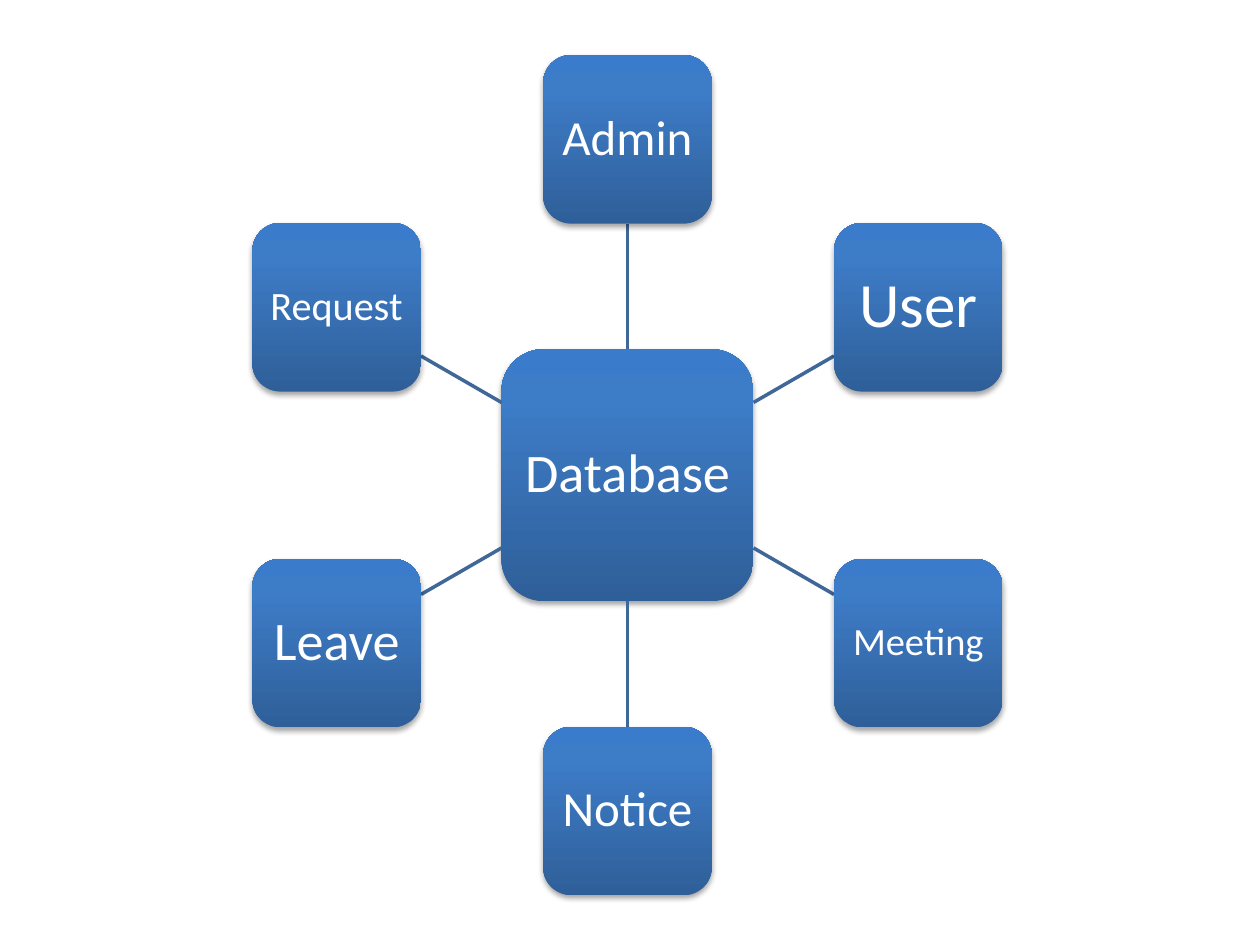
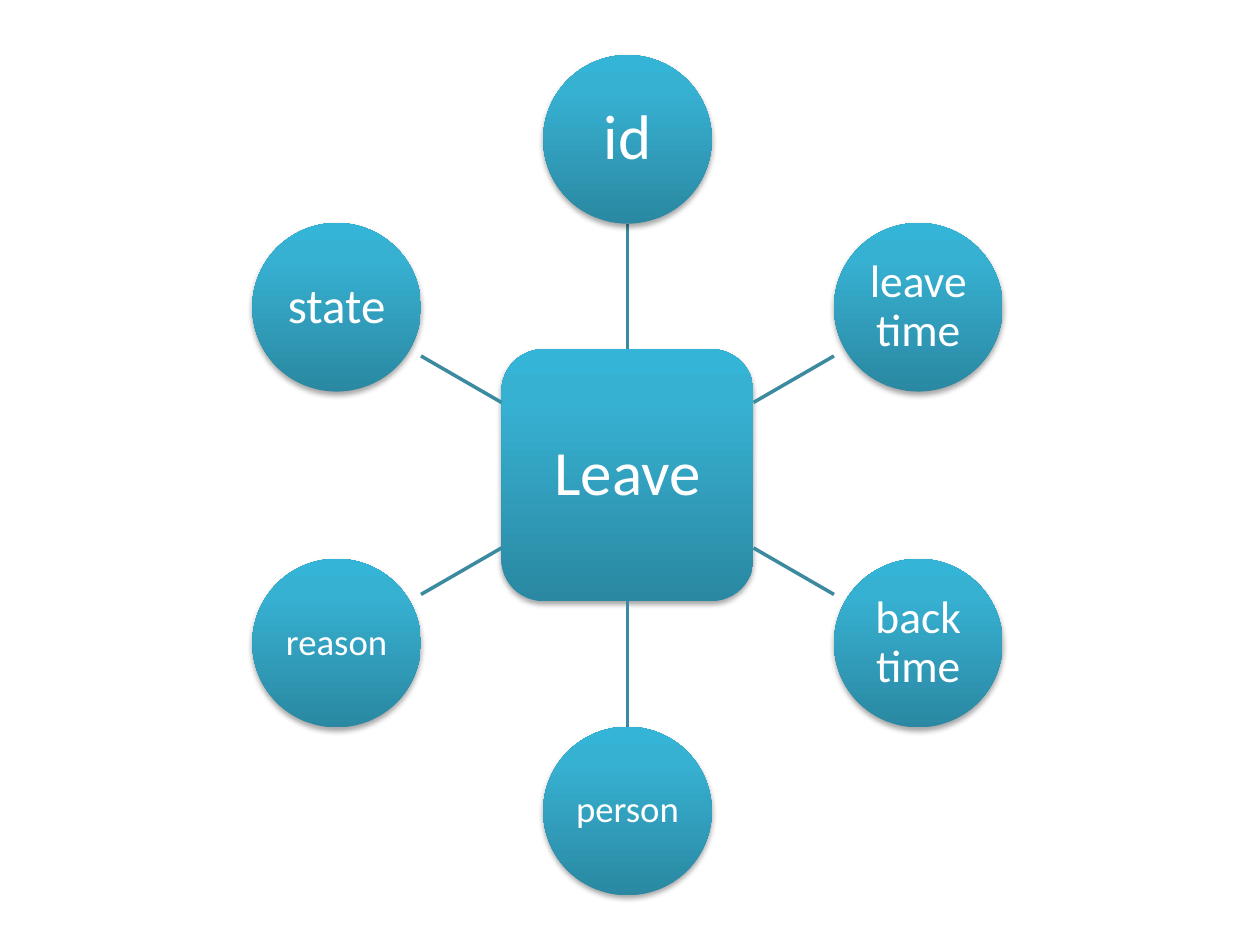
from math import cos, radians, sin

from pptx import Presentation
from pptx.dml.color import RGBColor
from pptx.enum.shapes import MSO_CONNECTOR, MSO_SHAPE
from pptx.enum.text import MSO_ANCHOR, PP_ALIGN
from pptx.oxml import parse_xml
from pptx.oxml.ns import nsdecls
from pptx.util import Cm, Pt

ROUNDED = MSO_SHAPE.ROUNDED_RECTANGLE
OVAL = MSO_SHAPE.OVAL
STRAIGHT = MSO_CONNECTOR.STRAIGHT
MIDDLE = MSO_ANCHOR.MIDDLE
CENTER = PP_ALIGN.CENTER

WHITE = RGBColor(0xFF, 0xFF, 0xFF)
BLUE_LINE = RGBColor(0x3F, 0x67, 0x97)
BLUE_STOPS = {
    0: RGBColor(0x2F, 0x5F, 0x99),
    80: RGBColor(0x3D, 0x7C, 0xC7),
    100: RGBColor(0x3A, 0x7C, 0xCB),
}
TEAL_LINE = RGBColor(0x3C, 0x8A, 0x9F)
TEAL_STOPS = {
    0: RGBColor(0x2A, 0x88, 0xA2),
    80: RGBColor(0x37, 0xB1, 0xD2),
    100: RGBColor(0x34, 0xB4, 0xD6),
}

CENTER_X, CENTER_Y = 12.65, 9.58
ORBIT = 6.77
HUB_SIZE, NODE_SIZE = 5.08, 3.4
INSET_PER_POINT = 0.007

SHADOW = (
    f'<a:effectLst {nsdecls("a")}>'
    '<a:outerShdw blurRad="40000" dist="23000" dir="5400000" rotWithShape="0">'
    '<a:srgbClr val="000000"><a:alpha val="35000"/></a:srgbClr>'
    '</a:outerShdw></a:effectLst>'
)
NO_EFFECTS = f'<a:effectLst {nsdecls("a")}/>'


def set_attributes(target, values):
    for name, value in values.items():
        setattr(target, name, value)


class RadialDiagram:
    def __init__(self, presentation, node_kind, stops, line_color):
        self.slide = presentation.slides.add_slide(presentation.slide_layouts[6])
        self.node_kind = node_kind
        self.stops = stops
        self.line_color = line_color

    def fill_gradient(self, shape):
        stops = "".join(
            f'<a:gs pos="{position * 1000}"><a:srgbClr val="{color}"/></a:gs>'
            for position, color in self.stops.items()
        )
        gradient = parse_xml(
            f'<a:gradFill {nsdecls("a")} rotWithShape="1"><a:gsLst>{stops}</a:gsLst>'
            '<a:lin ang="16200000" scaled="0"/></a:gradFill>'
        )
        shape.line.fill.background()
        properties = shape.element.spPr
        properties.insert(2, gradient)
        properties.append(parse_xml(SHADOW))

    def add_box(self, kind, x, y, size, text, font_size):
        shape = self.slide.shapes.add_shape(
            kind, Cm(x - size / 2), Cm(y - size / 2), Cm(size), Cm(size)
        )
        self.fill_gradient(shape)
        frame = shape.text_frame
        inset = Cm(font_size * INSET_PER_POINT)
        set_attributes(frame, {
            "word_wrap": True, "vertical_anchor": MIDDLE,
            "margin_left": inset, "margin_right": inset,
            "margin_top": inset, "margin_bottom": inset,
        })
        paragraph = frame.paragraphs[0]
        set_attributes(paragraph, {"alignment": CENTER, "line_spacing": 0.9})
        run = paragraph.add_run()
        run.text = text
        set_attributes(run.font, {"name": "Calibri", "size": Pt(font_size)})
        run.font.color.rgb = WHITE

    def add_spoke(self, across, down):
        reach = max(abs(across), abs(down))
        start = HUB_SIZE / 2 / reach
        end = ORBIT - NODE_SIZE / 2 / reach
        connector = self.slide.shapes.add_connector(
            STRAIGHT,
            Cm(CENTER_X + start * across), Cm(CENTER_Y + start * down),
            Cm(CENTER_X + end * across), Cm(CENTER_Y + end * down),
        )
        connector.line.width = Pt(2)
        connector.line.color.rgb = self.line_color
        connector.element.spPr.append(parse_xml(NO_EFFECTS))

    def draw(self, hub, nodes):
        self.add_box(ROUNDED, CENTER_X, CENTER_Y, HUB_SIZE, *hub)
        for index, node in enumerate(nodes):
            angle = radians(index * 360 / len(nodes) - 90)
            across, down = cos(angle), sin(angle)
            self.add_spoke(across, down)
            self.add_box(
                self.node_kind, CENTER_X + ORBIT * across,
                CENTER_Y + ORBIT * down, NODE_SIZE, *node,
            )


presentation = Presentation()
set_attributes(presentation, {"slide_width": Cm(25.4), "slide_height": Cm(19.05)})

RadialDiagram(presentation, ROUNDED, BLUE_STOPS, BLUE_LINE).draw(
    ("Database", 31),
    [("Admin", 28), ("User", 36), ("Meeting", 22),
     ("Notice", 28), ("Leave", 31), ("Request", 23)],
)
RadialDiagram(presentation, OVAL, TEAL_STOPS, TEAL_LINE).draw(
    ("Leave", 36),
    [("id", 36), ("leave time", 26), ("back time", 26),
     ("person", 21), ("reason", 21), ("state", 28)],
)

presentation.save("out.pptx")
